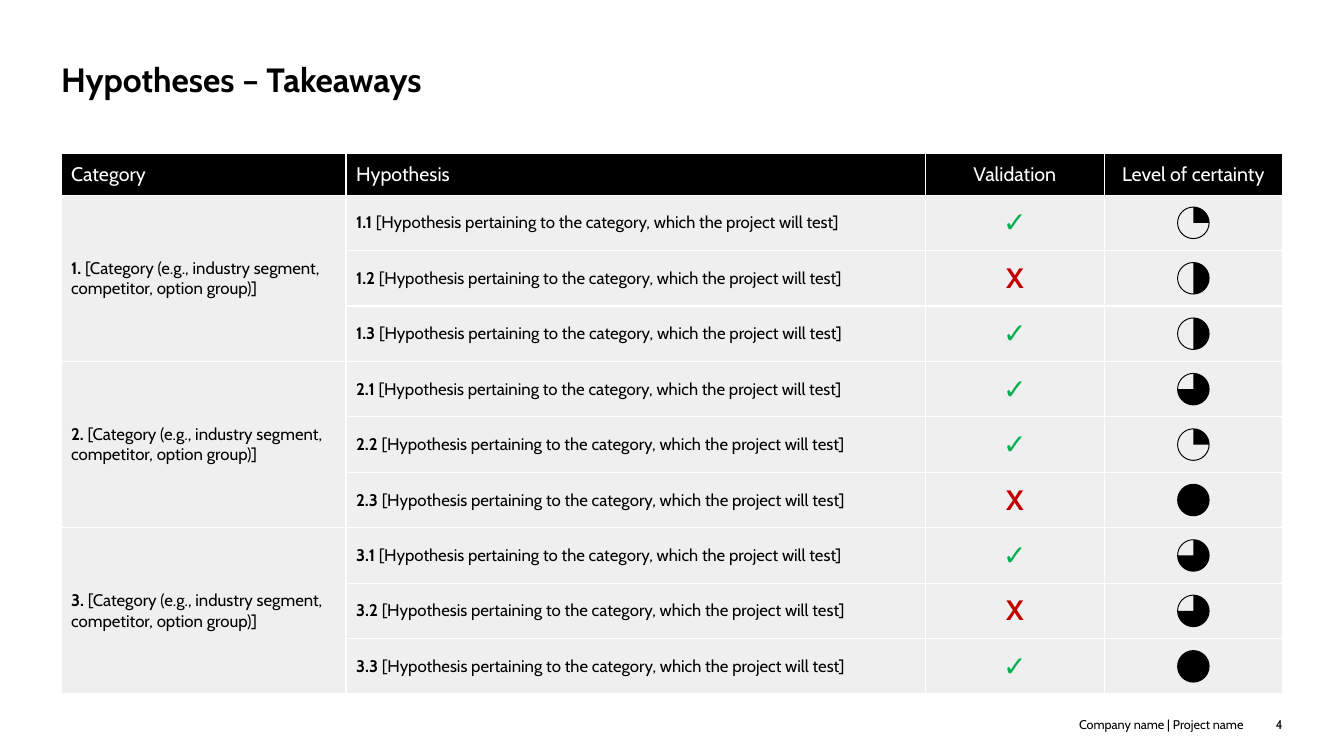
from dataclasses import dataclass

import lxml.etree
import pptx
import pptx.dml.color
import pptx.enum.text
import pptx.oxml
import pptx.oxml.ns
import pptx.util

Pt = pptx.util.Pt
qn = pptx.oxml.ns.qn
ALIGN = pptx.enum.text.PP_ALIGN
ANCHOR = pptx.enum.text.MSO_ANCHOR

FONT = "Cabin"
BLACK, WHITE, GREY, GREEN, RED = "000000", "FFFFFF", "EFEFEF", "00B050", "C00000"
LEFT, TABLE_TOP = 43.6, 109.9
COLUMN_WIDTHS = (203.6, 414, 127.5, 127.5)
HEADER_HEIGHT, ROW_HEIGHT = 29.5, 39.6
TABLE_WIDTH = sum(COLUMN_WIDTHS)
BALL_RADIUS, RING_WIDTH = 11.6, 0.7
QUARTER_ARC_HANDLE = 0.55
COMPASS = ((0, -1), (1, 0), (0, 1), (-1, 0))
ROWS_PER_CATEGORY = 3
CATEGORY_TEXT = "[Category (e.g., industry segment, competitor, option group)]"
HYPOTHESIS_TEXT = "[Hypothesis pertaining to the category, which the project will test]"


@dataclass
class Hypothesis:
    number: str
    valid: bool
    certainty_quarters: int


@dataclass
class FooterLabel:
    text: str
    left: float
    width: float


HEADINGS = ("Category", "Hypothesis", "Validation", "Level of certainty")
HYPOTHESES = (
    Hypothesis("1.1", True, 1),
    Hypothesis("1.2", False, 2),
    Hypothesis("1.3", True, 2),
    Hypothesis("2.1", True, 3),
    Hypothesis("2.2", True, 1),
    Hypothesis("2.3", False, 4),
    Hypothesis("3.1", True, 3),
    Hypothesis("3.2", False, 3),
    Hypothesis("3.3", True, 4),
)
FOOTER_LABELS = (
    FooterLabel("Company name | Project name", 762.8, 125.3),
    FooterLabel("4", 890.2, 26),
)


def color(value: str) -> pptx.dml.color.RGBColor:
    return pptx.dml.color.RGBColor.from_string(value)


def format_run(run, size: float, value: str = BLACK, bold: bool = False) -> None:
    run.font.name = FONT
    run.font.size = Pt(size)
    run.font.bold = bold
    run.font.color.rgb = color(value)


def clear_margins(text_frame) -> None:
    text_frame.margin_left = text_frame.margin_right = 0
    text_frame.margin_top = text_frame.margin_bottom = 0


def add_title(slide, text: str) -> None:
    title = slide.shapes.title
    title.left, title.top = Pt(LEFT), Pt(28.4)
    title.width, title.height = Pt(TABLE_WIDTH), Pt(42.5)
    frame = title.text_frame
    frame.text = text
    frame.auto_size = pptx.enum.text.MSO_AUTO_SIZE.NONE
    frame.vertical_anchor = ANCHOR.BOTTOM
    clear_margins(frame)
    frame.paragraphs[0].alignment = ALIGN.LEFT
    format_run(frame.paragraphs[0].runs[0], 24, bold=True)


def add_footer_label(slide, label: FooterLabel) -> None:
    box = slide.shapes.add_textbox(Pt(label.left), Pt(512), Pt(label.width), Pt(10.8))
    frame = box.text_frame
    frame.text = label.text
    frame.word_wrap = True
    frame.vertical_anchor = ANCHOR.BOTTOM
    clear_margins(frame)
    frame.paragraphs[0].alignment = ALIGN.RIGHT
    format_run(frame.paragraphs[0].runs[0], 9)


def style_cell(cell, fill: str) -> None:
    properties = cell._tc.get_or_add_tcPr()
    for side in "LRTB":
        border = lxml.etree.SubElement(properties, qn(f"a:ln{side}"), w=str(Pt(1)))
        solid = lxml.etree.SubElement(border, qn("a:solidFill"))
        lxml.etree.SubElement(solid, qn("a:srgbClr"), val=WHITE)
    cell.fill.solid()
    cell.fill.fore_color.rgb = color(fill)
    cell.vertical_anchor = ANCHOR.MIDDLE
    cell.margin_left = cell.margin_right = Pt(7.2)
    cell.margin_top = cell.margin_bottom = Pt(5)


def write_cell(cell, text: str, size: float, value: str, bold: bool, alignment) -> None:
    paragraph = cell.text_frame.paragraphs[0]
    paragraph.text = text
    paragraph.alignment = alignment
    format_run(paragraph.runs[0], size, value, bold)


def write_numbered_cell(cell, number: str, text: str) -> None:
    """Write a bold number followed by regular text."""
    write_cell(cell, f"{number} ", 12, BLACK, True, ALIGN.LEFT)
    run = cell.text_frame.paragraphs[0].add_run()
    run.text = text
    format_run(run, 12)


def add_hypothesis_table(slide) -> None:
    row_count = len(HYPOTHESES) + 1
    table = slide.shapes.add_table(
        row_count, len(HEADINGS), Pt(LEFT), Pt(TABLE_TOP), Pt(TABLE_WIDTH),
        Pt(HEADER_HEIGHT + ROW_HEIGHT * len(HYPOTHESES))).table
    for column, width in zip(table.columns, COLUMN_WIDTHS):
        column.width = Pt(width)
    for index, row in enumerate(table.rows):
        row.height = Pt(ROW_HEIGHT if index else HEADER_HEIGHT)
        for cell in row.cells:
            style_cell(cell, GREY if index else BLACK)

    for index, heading in enumerate(HEADINGS):
        alignment = ALIGN.LEFT if index < 2 else ALIGN.CENTER
        write_cell(table.cell(0, index), heading, 14, WHITE, False, alignment)
    for row_index, hypothesis in enumerate(HYPOTHESES, start=1):
        write_numbered_cell(table.cell(row_index, 1), hypothesis.number, HYPOTHESIS_TEXT)
        mark, value = ("✓", GREEN) if hypothesis.valid else ("X", RED)
        write_cell(table.cell(row_index, 2), mark, 20, value, True, ALIGN.CENTER)
    for number, first_row in enumerate(range(1, row_count, ROWS_PER_CATEGORY), start=1):
        category = table.cell(first_row, 0)
        category.merge(table.cell(first_row + ROWS_PER_CATEGORY - 1, 0))
        write_numbered_cell(category, f"{number}.", CATEGORY_TEXT)


def arc_points(center_x: float, center_y: float, radius: float, first_quarter: int) -> list:
    """Return Bezier points clockwise from a quarter's start back to the top."""
    offsets = [COMPASS[first_quarter]]
    for quarter in range(first_quarter, 4):
        (start_x, start_y), (end_x, end_y) = COMPASS[quarter], COMPASS[(quarter + 1) % 4]
        handle = QUARTER_ARC_HANDLE
        offsets += [
            (start_x + handle * end_x, start_y + handle * end_y),
            (end_x + handle * start_x, end_y + handle * start_y),
            (end_x, end_y),
        ]
    return [(Pt(center_x + radius * x), Pt(center_y + radius * y)) for x, y in offsets]


def curve_segments(shape) -> None:
    """Join each three successive line segments into one Bezier segment."""
    pending = []
    for segment in list(shape._element.iter(qn("a:moveTo"), qn("a:lnTo"))):
        if segment.tag == qn("a:moveTo"):
            pending = []
            continue
        pending.append(segment)
        if len(pending) == 3:
            curve = lxml.etree.Element(qn("a:cubicBezTo"))
            pending[0].addprevious(curve)
            for line in pending:
                curve.append(line[0])
                line.getparent().remove(line)
            pending = []


def add_certainty_ball(slide, center_x: float, center_y: float, quarters: int) -> None:
    """Draw a disc whose uncertain sector is cut out, leaving a thin ring."""
    rim = arc_points(center_x, center_y, BALL_RADIUS, 0)
    builder = slide.shapes.build_freeform(*rim[0], scale=1.0)
    builder.add_line_segments(rim[1:], close=True)
    if quarters < 4:
        cutout = arc_points(center_x, center_y, BALL_RADIUS - RING_WIDTH, quarters)
        builder.move_to(*cutout[0])
        builder.add_line_segments(cutout[1:] + [(Pt(center_x), Pt(center_y))], close=True)
    ball = builder.convert_to_shape()
    curve_segments(ball)
    ball.shadow.inherit = False
    ball.fill.solid()
    ball.fill.fore_color.rgb = color(BLACK)
    ball.line.fill.background()


def main() -> None:
    presentation = pptx.Presentation()
    presentation.slide_width, presentation.slide_height = Pt(960), Pt(540)
    slide = presentation.slides.add_slide(presentation.slide_layouts[5])
    for label in FOOTER_LABELS:
        add_footer_label(slide, label)
    add_title(slide, "Hypotheses – Takeaways")
    add_hypothesis_table(slide)
    center_x = LEFT + TABLE_WIDTH - COLUMN_WIDTHS[-1] / 2
    for index, hypothesis in enumerate(HYPOTHESES):
        center_y = TABLE_TOP + HEADER_HEIGHT + ROW_HEIGHT * (index + 0.5)
        add_certainty_ball(slide, center_x, center_y, hypothesis.certainty_quarters)
    presentation.save("out.pptx")


if __name__ == "__main__":
    main()
